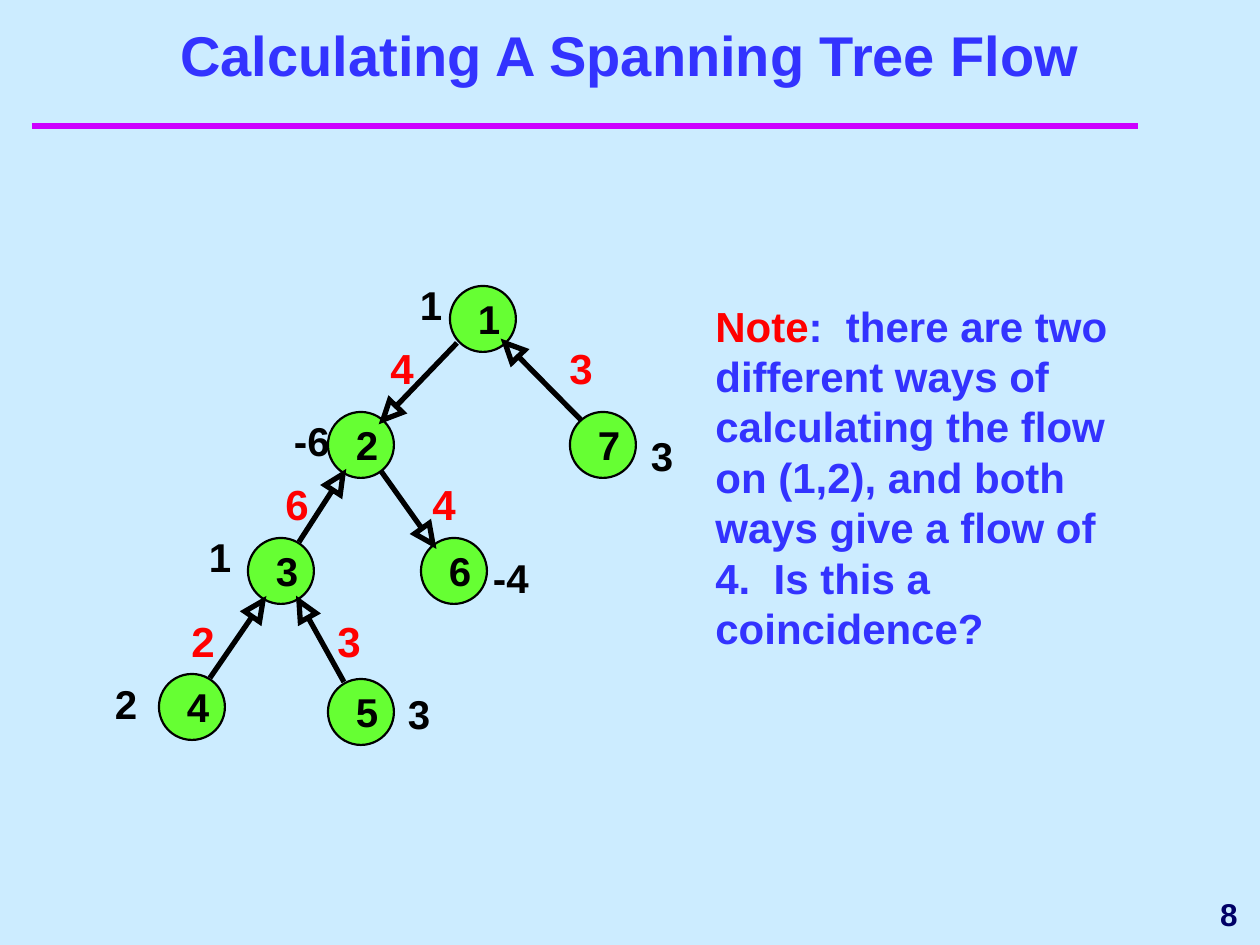
from math import hypot

from lxml.etree import SubElement
from pptx import Presentation
from pptx.dml.color import RGBColor
from pptx.enum.shapes import MSO_CONNECTOR, MSO_SHAPE
from pptx.enum.text import MSO_ANCHOR, MSO_AUTO_SIZE, PP_ALIGN
from pptx.oxml.ns import qn
from pptx.util import Pt

EMU_PER_PX = 914400 / 126
NODE_SIZE = 66
HEAD_LENGTH, HEAD_HALF_WIDTH = 19, 9
FLOW_SIZE = (73, 63)

SKY, BLUE, NAVY, RED = "CCECFF", "3333FF", "000066", "FF0000"
GREEN, PURPLE, BLACK = "66FF33", "CC00FF", "000000"


def px(length):
    return round(length * EMU_PER_PX)


def color(hex_code):
    return RGBColor.from_string(hex_code)


class TreeSlide:
    font = "Arial"

    def __init__(self, deck):
        self.slide = deck.slides.add_slide(deck.slide_layouts[5])
        self.shapes = self.slide.shapes
        fill = self.slide.background.fill
        fill.solid()
        fill.fore_color.rgb = color(SKY)

    def format_run(self, run, size, hex_code):
        run.font.name = self.font
        run.font.size = Pt(size)
        run.font.bold = True
        run.font.color.rgb = color(hex_code)

    def title(self, text, left, top, width, height):
        title = self.shapes.title
        title.left, title.top = px(left), px(top)
        title.width, title.height = px(width), px(height)
        frame = title.text_frame
        frame.text = text
        frame.auto_size = MSO_AUTO_SIZE.NONE
        frame.vertical_anchor = MSO_ANCHOR.BOTTOM
        paragraph = frame.paragraphs[0]
        paragraph.alignment = PP_ALIGN.CENTER
        self.format_run(paragraph.runs[0], 32, BLUE)

    def text(self, pieces, left, top, width, height, size, inset=True,
             align=PP_ALIGN.LEFT, anchor=MSO_ANCHOR.TOP, wrap=True):
        """Add a text box; pieces are (text, colour) pairs of one paragraph."""
        frame = self.shapes.add_textbox(
            px(left), px(top), px(width), px(height)).text_frame
        frame.word_wrap = wrap
        frame.vertical_anchor = anchor
        if not inset:
            frame.margin_left = frame.margin_right = 0
            frame.margin_top = frame.margin_bottom = 0
        paragraph = frame.paragraphs[0]
        paragraph.alignment = align
        for words, hex_code in pieces:
            run = paragraph.add_run()
            run.text = words
            self.format_run(run, size, hex_code)

    def number(self, value, left, top):
        width = 23 if len(value) == 1 else 37
        self.text([(value, BLACK)], left, top, width, 48, 23,
                  inset=False, wrap=False)

    def node(self, name, left, top):
        circle = self.shapes.add_shape(
            MSO_SHAPE.OVAL, px(left), px(top), px(NODE_SIZE), px(NODE_SIZE))
        circle.shadow.inherit = False
        circle.fill.solid()
        circle.fill.fore_color.rgb = color(GREEN)
        circle.line.color.rgb = color(BLACK)
        circle.line.width = Pt(1.25)
        self.number(name, left + 28, top + 8)

    def arc(self, x1, y1, x2, y2):
        """Outline an arrow with a hollow head whose tip is at (x2, y2)."""
        length = hypot(x2 - x1, y2 - y1)
        ux, uy = (x2 - x1) / length, (y2 - y1) / length
        base_x, base_y = x2 - HEAD_LENGTH * ux, y2 - HEAD_LENGTH * uy
        side_x, side_y = -HEAD_HALF_WIDTH * uy, HEAD_HALF_WIDTH * ux
        base = (base_x, base_y)
        points = [base, (base_x + side_x, base_y + side_y), (x2, y2),
                  (base_x - side_x, base_y - side_y), base]
        builder = self.shapes.build_freeform(px(x1), px(y1))
        builder.add_line_segments([(px(x), px(y)) for x, y in points], close=True)
        arrow = builder.convert_to_shape()
        arrow.shadow.inherit = False
        arrow.fill.background()
        arrow.line.color.rgb = color(BLACK)
        arrow.line.width = Pt(3)
        outline = arrow.line._get_or_add_ln()
        SubElement(outline, qn("a:miter"), lim="800000")

    def rule(self, x1, x2, y):
        line = self.shapes.add_connector(
            MSO_CONNECTOR.STRAIGHT, px(x1), px(y), px(x2), px(y))
        line.line.color.rgb = color(PURPLE)
        line.line.width = Pt(4)
        SubElement(line._element.spPr, qn("a:effectLst"))


NODES = [("1", 450, 286), ("3", 248, 538), ("6", 421, 538), ("4", 159, 674),
         ("5", 328, 679), ("2", 328, 412), ("7", 570, 412)]
SUPPLIES = [("1", 420, 280), ("3", 651, 431), ("-6", 294, 416),
            ("-4", 493, 553), ("1", 209, 532), ("2", 115, 679),
            ("3", 408, 689)]
ARCS = [(457, 343, 383, 420), (299, 542, 343, 474), (210, 678, 263, 601),
        (344, 682, 299, 601), (381, 471, 433, 544), (581, 420, 505, 343)]
FLOWS = [("2", 179, 609), ("3", 325, 609), ("6", 273, 472),
         ("4", 420, 472), ("4", 378, 336), ("3", 557, 336)]
NOTE = [("Note", RED),
        (":  there are two different ways of calculating the flow on (1,2), "
         "and both ways give a flow of 4.  Is this a coincidence?", BLUE)]


def main():
    deck = Presentation()
    deck.slide_width, deck.slide_height = px(1260), px(945)
    tree = TreeSlide(deck)
    tree.rule(32, 1138, 126)
    tree.text([("8", NAVY)], 1008, 882, 242, 63, 18,
              align=PP_ALIGN.RIGHT, anchor=MSO_ANCHOR.MIDDLE)
    tree.title("Calculating A Spanning Tree Flow", 0, 42, 1260, 52)
    for node in NODES:
        tree.node(*node)
    for supply in SUPPLIES:
        tree.number(*supply)
    for arc in ARCS:
        tree.arc(*arc)
    tree.text(NOTE, 703, 294, 441, 365, 24)
    for flow, left, top in FLOWS:
        tree.text([(flow, RED)], left, top, *FLOW_SIZE, 24)
    deck.save("out.pptx")


if __name__ == "__main__":
    main()
